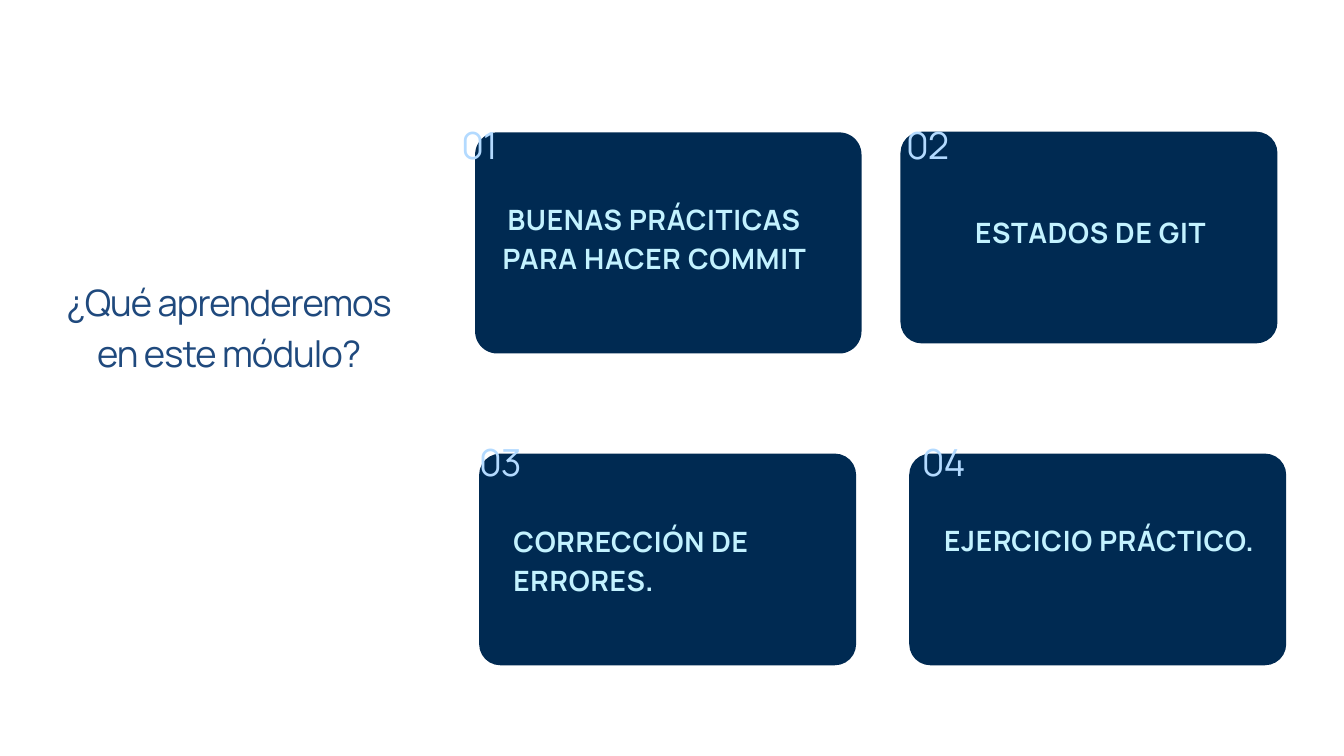
from pptx import Presentation
from pptx.dml.color import RGBColor
from pptx.enum.shapes import MSO_SHAPE
from pptx.enum.text import PP_ALIGN
from pptx.util import Inches, Pt

ROUNDED = MSO_SHAPE.ROUNDED_RECTANGLE
LEFT, CENTER = PP_ALIGN.LEFT, PP_ALIGN.CENTER
NAVY, BLUE, ICE, SKY = "002A52", "1F497D", "C3F2FF", "B3DAFF"

deck = Presentation()
deck.slide_width, deck.slide_height = Inches(20), Inches(11.25)
page = deck.slides.add_slide(deck.slide_layouts[6])
COLUMN = deck.slide_width / 20
ROW = deck.slide_height / 11.25


def grid(left, top, width, height):
    return [round(n * unit) for n, unit in zip((left, top, width, height), (COLUMN, ROW) * 2)]


def add_text(text, area, size, color, leading, spacing, align=CENTER, bold=False):
    box = page.shapes.add_textbox(*grid(*area))
    frame = box.text_frame
    frame.word_wrap = True
    frame.margin_left = frame.margin_top = frame.margin_right = frame.margin_bottom = 0
    para = frame.paragraphs[0]
    para.text = text
    para.alignment = align
    para.line_spacing = Pt(leading)
    for span in para.runs:
        span.font.name = "Manrope"
        span.font.size = Pt(size)
        span.font.bold = bold
        span.font.color.rgb = RGBColor.from_string(color)
        span._r.get_or_add_rPr().set("spc", str(round(spacing * 100)))


add_text("¿Qué aprenderemos\ven este módulo?", (0.67, 4.06, 5.48, 1.5),
         size=39, color=BLUE, leading=54.6, spacing=-1)

cards = [
    ("BUENAS PRÁCITICAS PARA HACER COMMIT", (7.07, 1.97, 5.75, 3.29),
     (7.35, 2.93, 4.78, 1.15), CENTER, (6.48, 1.7)),
    ("ESTADOS DE GIT", (13.4, 1.96, 5.61, 3.15),
     (13.78, 3.12, 4.9, 0.56), CENTER, (13.15, 1.7)),
    ("CORRECCIÓN DE ERRORES.", (7.13, 6.75, 5.61, 3.15),
     (7.64, 7.72, 4.78, 1.15), LEFT, (6.79, 6.42)),
    ("EJERCICIO PRÁCTICO.", (13.53, 6.75, 5.61, 3.15),
     (14.05, 7.71, 4.78, 1.15), LEFT, (13.39, 6.42)),
]
for number, (topic, card_area, topic_area, align, number_corner) in enumerate(cards, 1):
    card = page.shapes.add_shape(ROUNDED, *grid(*card_area))
    card.adjustments[0] = 0.1
    card.shadow.inherit = False
    card.fill.solid()
    card.fill.fore_color.rgb = RGBColor.from_string(NAVY)
    card.line.fill.background()
    add_text(topic, topic_area, size=30, color=ICE, leading=42, spacing=0.8,
             align=align, bold=True)
    add_text(f"{number:02}", (*number_corner, 1.31, 0.74),
             size=40, color=SKY, leading=56, spacing=-1)

deck.save("out.pptx")
